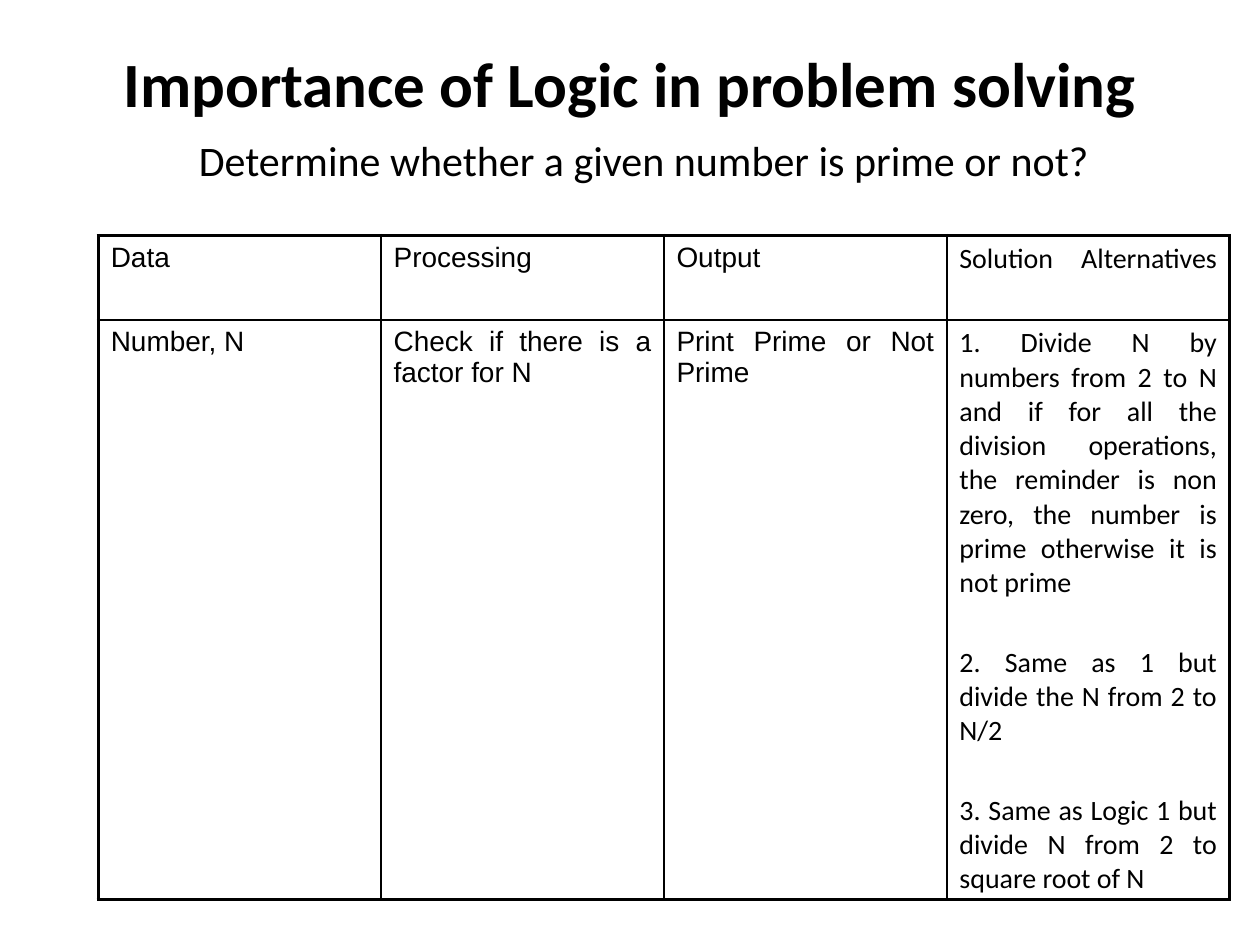
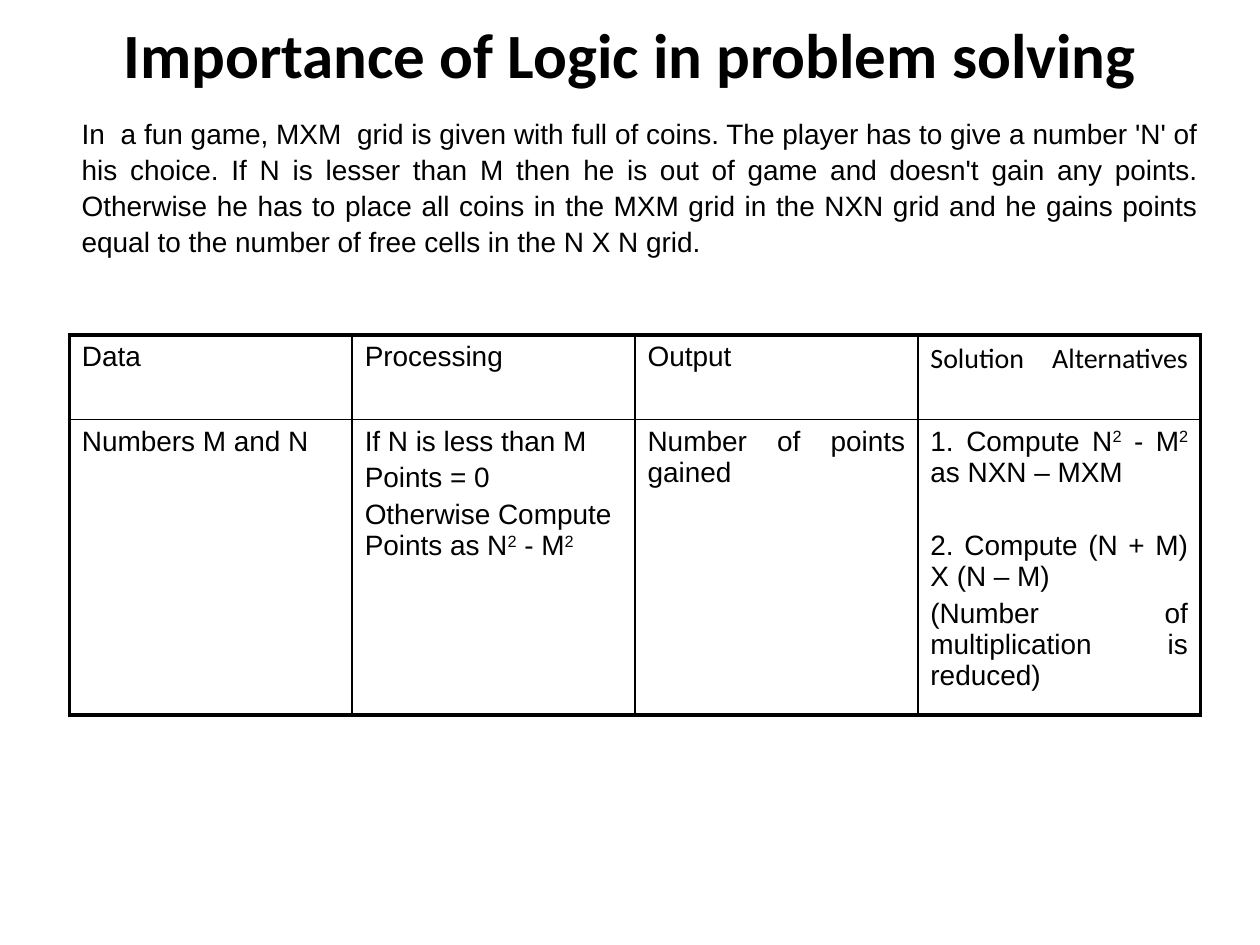
from lxml.etree import SubElement
from pptx import Presentation
from pptx.dml.color import RGBColor
from pptx.enum.text import MSO_ANCHOR as Anchor, PP_ALIGN as Align
from pptx.oxml.ns import qn
from pptx.util import Inches, Pt

# Content: ^2 marks a raised 2, \v a line break
TITLE = "Importance of Logic in problem solving"
HEADS = ["Data", "Processing", "Output", "Solution Alternatives\v"]
SLIDES = [
    {
        "title_top": 0.33,
        "intro": "Determine whether a given number is prime or not?",
        "intro_at": (1.48, 1.02, 7.34, 0.5),
        "intro_style": ("Calibri", 24, Align.LEFT, 1.0),
        "grid_at": (0.78, 1.87),
        "row": 4.6,
        "cells": [
            ["Number, N"],
            ["Check if there is a factor for N"],
            ["Print Prime or Not Prime"],
            ["1. Divide N by numbers from 2 to N and if for all the division "
             "operations, the reminder is non zero, the number is prime "
             "otherwise it is not prime",
             "2. Same as 1 but divide the N from 2 to N/2",
             "3. Same as Logic 1 but divide N from 2 to square root of N"],
        ],
        "last_font": "Calibri",
        "left_cols": [],
    },
    {
        "title_top": 0.1,
        "intro": "In  a fun game, MXM  grid is given with full of coins. The "
                 "player has to give a number 'N' of his choice. If N is lesser "
                 "than M then he is out of game and doesn't gain any points. "
                 "Otherwise he has to place all coins in the MXM grid in the "
                 "NXN grid and he gains points equal to the number of free "
                 "cells in the N X N grid.",
        "intro_at": (0.55, 0.86, 9.06, 1.18),
        "intro_style": ("Arial", 16, Align.JUSTIFY, 1.07),
        "grid_at": (0.55, 2.66),
        "row": 2.2,
        "cells": [
            ["Numbers M and N"],
            ["If N is less than M", "Points = 0",
             "Otherwise Compute Points as N^2 - M^2"],
            ["Number of points gained"],
            ["1. Compute N^2 - M^2 as NXN – MXM",
             "2. Compute (N + M) X (N – M)",
             "(Number of multiplication is reduced)"],
        ],
        "last_font": "Arial",
        "left_cols": [1],
    },
]

# Shared style
BLACK = RGBColor(0, 0, 0)
COL, HEAD = 2.245, 0.67
THICK, THIN = 2.25, 1
GAP = 3.2
STEP = {"Arial": 24, "Calibri": 26}  # space above a numbered step


def style(para, font, size, align, bold=False):
    para.alignment = align
    for run in para.runs:
        run.font.name, run.font.size = font, Pt(size)
        run.font.bold = bold
        run.font.color.rgb = BLACK


def add_text(slide, box, text, font, size, align, bold=False):
    frame = slide.shapes.add_textbox(*map(Inches, box)).text_frame
    frame.word_wrap = True
    frame.text = text
    style(frame.paragraphs[0], font, size, align, bold)
    return frame


def add_border(cell, sides):
    props = cell._tc.get_or_add_tcPr()
    for side, width in sides:
        line = SubElement(props, qn("a:ln" + side), w=str(Pt(width)))
        fill = SubElement(line, qn("a:solidFill"))
        SubElement(fill, qn("a:srgbClr"), val=str(BLACK))


def fill_cell(cell, lines, font, align):
    frame = cell.text_frame
    for i, text in enumerate(lines):
        para = frame.add_paragraph() if i else frame.paragraphs[0]
        step = i > 0 and text[0].isdigit()
        para.space_before = Pt(STEP[font] if step else GAP)
        first, *rest = text.split("^2")
        para.text = first
        for part in rest:
            power = para.add_run()
            power.text = "2"
            power._r.get_or_add_rPr().set("baseline", "30000")
            if part:
                para.add_run().text = part
        style(para, font, 16, align)


def add_grid(slide, data):
    rows = [[[head] for head in HEADS], data["cells"]]
    fonts = ["Calibri", data["last_font"]]
    last = len(HEADS) - 1
    left, top = data["grid_at"]
    size = (COL * len(HEADS), HEAD + data["row"])
    table = slide.shapes.add_table(
        len(rows), len(HEADS), *map(Inches, (left, top, *size))).table
    table.first_row = table.horz_banding = False
    for col in table.columns:
        col.width = Inches(COL)
    for row, height in zip(table.rows, (HEAD, data["row"])):
        row.height = Inches(height)
    for r, row in enumerate(rows):
        for c, lines in enumerate(row):
            cell = table.cell(r, c)
            outer = [("L", c == 0), ("R", c == last),
                     ("T", r == 0), ("B", r == len(rows) - 1)]
            add_border(cell, [(s, THICK if edge else THIN) for s, edge in outer])
            cell.fill.background()
            plain = r > 0 and c in data["left_cols"]
            fill_cell(cell, lines, fonts[r] if c == last else "Arial",
                      Align.LEFT if plain else Align.JUSTIFY)


def main():
    deck = Presentation()
    deck.slide_width, deck.slide_height = Inches(10), Inches(7.5)
    for data in SLIDES:
        slide = deck.slides.add_slide(deck.slide_layouts[6])
        # Title
        title = add_text(slide, (0.5, data["title_top"], 9, 0.64), TITLE,
                         "Calibri", 36, Align.CENTER, True)
        title.vertical_anchor = Anchor.MIDDLE
        # Table
        add_grid(slide, data)
        # Problem statement
        font, size, align, spacing = data["intro_style"]
        intro = add_text(slide, data["intro_at"], data["intro"],
                         font, size, align)
        intro.paragraphs[0].line_spacing = spacing
    deck.save("out.pptx")


if __name__ == "__main__":
    main()
